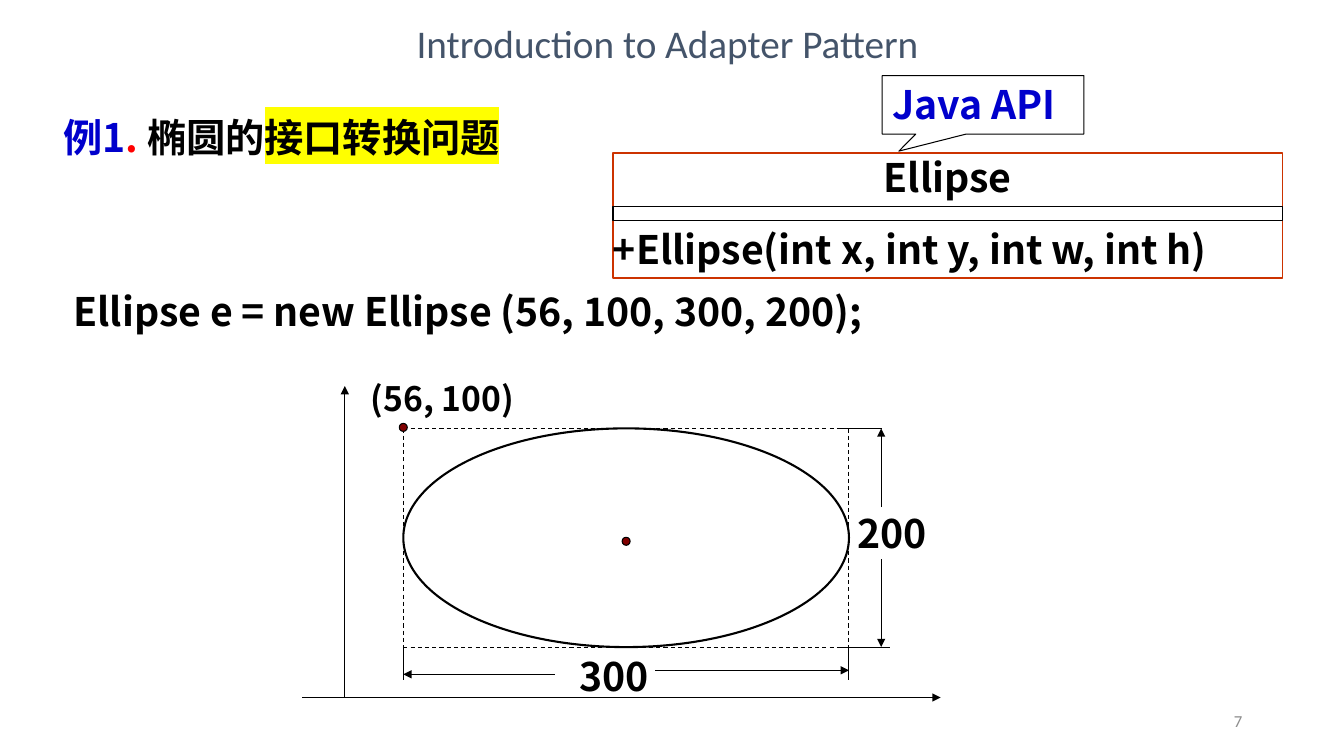
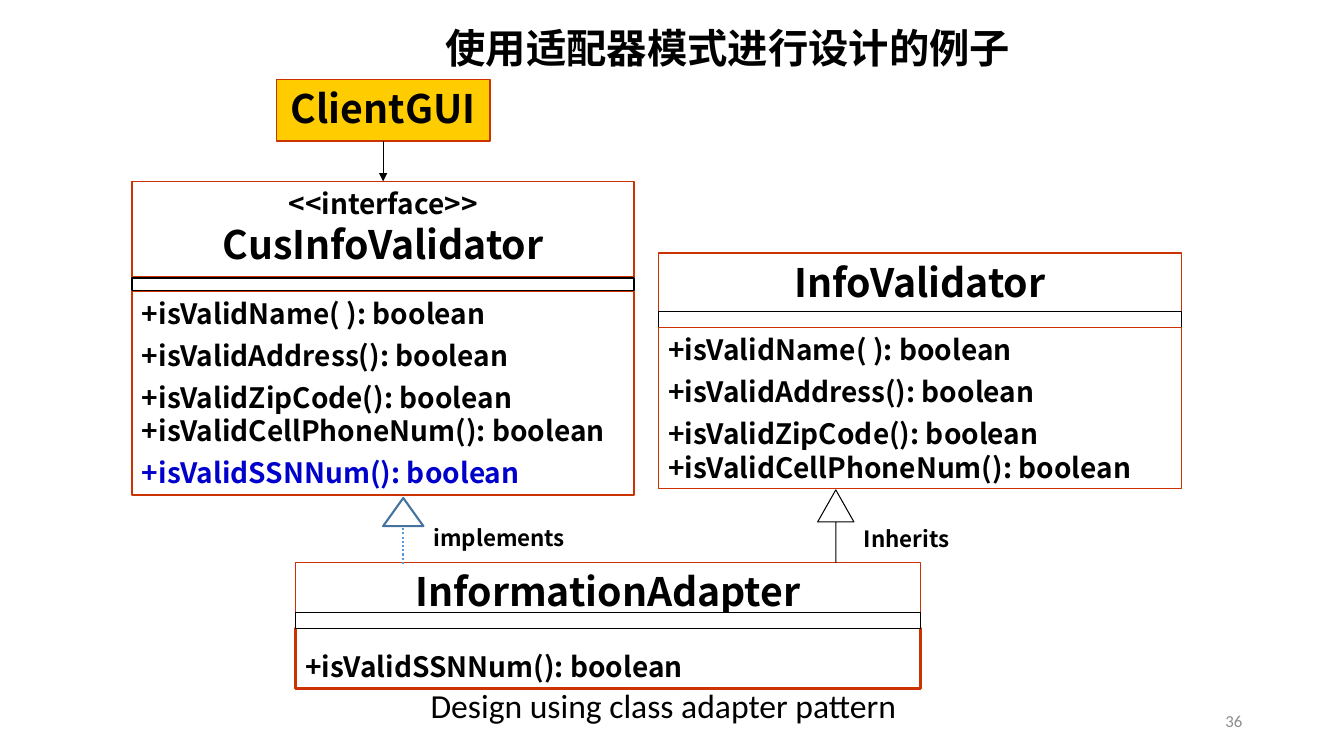
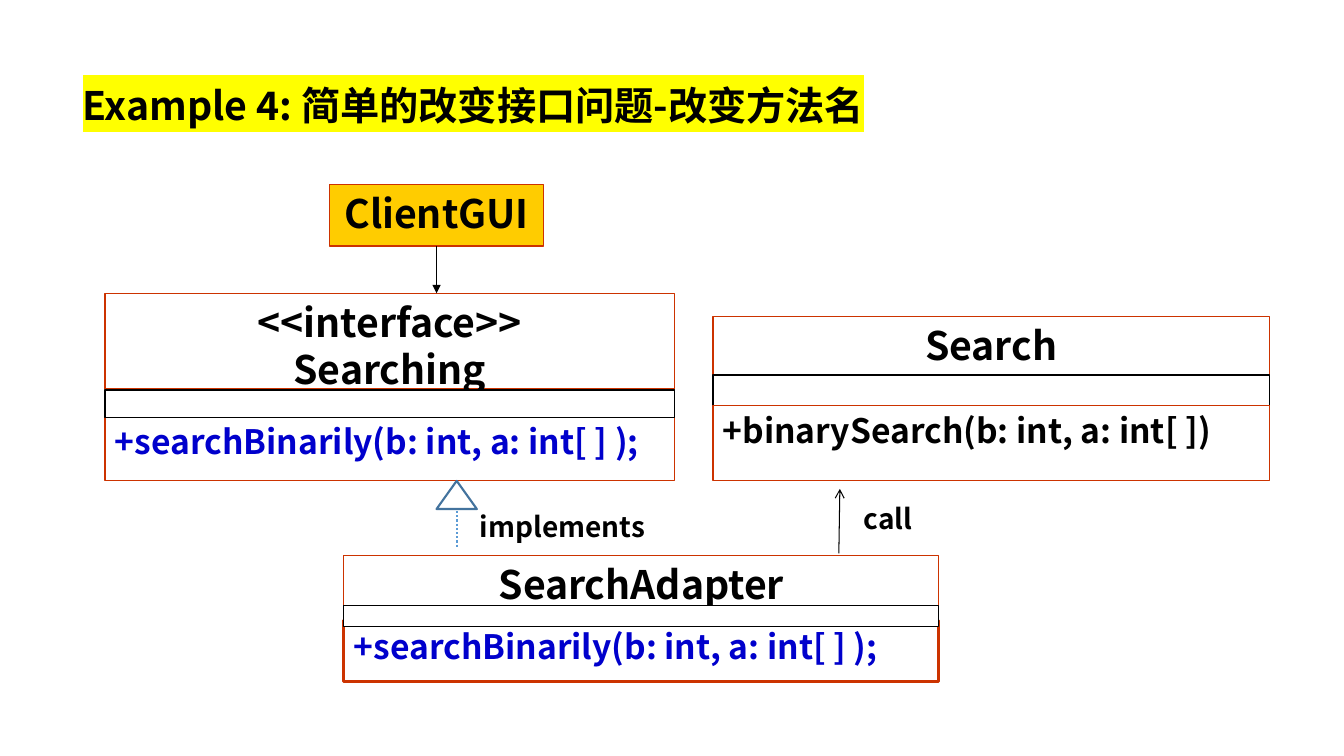
import pptx
import pptx.util
import pptx.dml.color
import pptx.enum.dml
import pptx.enum.shapes
import pptx.enum.text
import pptx.oxml
import pptx.oxml.ns

RGB = pptx.dml.color.RGBColor
BLACK = RGB(0x00, 0x00, 0x00)
WHITE = RGB(0xFF, 0xFF, 0xFF)
BLUE = RGB(0x00, 0x00, 0xCC)
RED = RGB(0xFF, 0x00, 0x00)
RUST = RGB(0xCC, 0x33, 0x00)
GOLD = RGB(0xFF, 0xCC, 0x00)
MAROON = RGB(0x80, 0x00, 0x00)
SLATE = RGB(0x44, 0x54, 0x6A)
GRAY = RGB(0x8C, 0x8C, 0x8C)
STEEL = RGB(0x43, 0x73, 0x9E)
SKY = RGB(0x5B, 0x9B, 0xD5)

NOTO = "Noto Sans CJK SC"
PLAIN = "Calibri"
PX = 9144
KIND = pptx.enum.shapes.MSO_SHAPE
DASH = pptx.enum.dml.MSO_LINE
LEFT, MID, RIGHT = (pptx.enum.text.PP_ALIGN.LEFT, pptx.enum.text.PP_ALIGN.CENTER,
                    pptx.enum.text.PP_ALIGN.RIGHT)
TOP, HALF = pptx.enum.text.MSO_ANCHOR.TOP, pptx.enum.text.MSO_ANCHOR.MIDDLE
qn = pptx.oxml.ns.qn
NS = pptx.oxml.ns.nsdecls("a")
MARK = f'<a:highlight {NS}><a:srgbClr val="FFFF00"/></a:highlight>'


def box(slide, kind, x, y, w, h, lines=(), size=28, color=BLACK, font=NOTO, bold=True,
        align=LEFT, anchor=TOP, inset=10, gap=0, lead=1, fill=None, edge=None, thick=1):
    place = [n * PX for n in (x, y, w, h)]
    if kind == "title":
        shape = slide.shapes.title
        shape.left, shape.top, shape.width, shape.height = place
    elif kind == "text":
        shape = slide.shapes.add_textbox(*place)
    else:
        shape = slide.shapes.add_shape(kind, *place)
        shape.shadow.inherit = False
        if fill is None:
            shape.fill.background()
        else:
            shape.fill.solid()
            shape.fill.fore_color.rgb = fill
        if edge is None:
            shape.line.fill.background()
        else:
            shape.line.color.rgb = edge
            shape.line.width = pptx.util.Pt(thick)
    frame = shape.text_frame
    frame.word_wrap = True
    frame.auto_size = pptx.enum.text.MSO_AUTO_SIZE.NONE
    frame.vertical_anchor = anchor
    frame.margin_left = frame.margin_right = inset * PX
    frame.margin_top = frame.margin_bottom = 5 * PX
    for i, line in enumerate(lines):
        para = frame.add_paragraph() if i else frame.paragraphs[0]
        text, pt, tint = line if isinstance(line, tuple) else (line, size, color)
        para.alignment = align
        para.line_spacing = lead
        para.space_before = pptx.util.Pt(gap)
        para.font.name = font
        para.font.size = pptx.util.Pt(pt)
        para.font.bold = bold
        para.font.color.rgb = tint
        base = para._p.pPr.find(qn("a:defRPr"))
        base.append(pptx.oxml.parse_xml(f'<a:ea {NS} typeface="{font}"/>'))
        for part, hue, mark in text if isinstance(text, list) else [(text, None, False)]:
            run = para.add_run()
            run.text = part
            if hue is not None:
                run.font.color.rgb = hue
            if mark:
                run._r.get_or_add_rPr().append(pptx.oxml.parse_xml(MARK))
    return shape


def wire(slide, x1, y1, x2, y2, head=None, color=BLACK, thick=0.75, dash=None):
    link = slide.shapes.add_connector(pptx.enum.shapes.MSO_CONNECTOR.STRAIGHT,
                                      x1 * PX, y1 * PX, x2 * PX, y2 * PX)
    link.line.color.rgb = color
    link.line.width = pptx.util.Pt(thick)
    if dash:
        link.line.dash_style = dash
    if head:
        link.line._get_or_add_ln().append(
            pptx.oxml.parse_xml(f'<a:tailEnd {NS} type="{head}"/>'))
    link._element.spPr.append(pptx.oxml.parse_xml(f"<a:effectLst {NS}/>"))
    return link


deck = pptx.Presentation()
deck.slide_width, deck.slide_height = 1333 * PX, 750 * PX
intro, design, search = [deck.slides.add_slide(deck.slide_layouts[5]) for _ in range(3)]

titles = [
    (intro, 333, 17, 658, 50, ["Introduction to Adapter Pattern"],
     dict(font=PLAIN, bold=False, color=SLATE, align=MID, anchor=HALF)),
    (design, 272, 24, 900, 53, ["使用适配器模式进行设计的例子"],
     dict(size=28.8, align=MID, anchor=HALF, lead=0.9)),
    (search, 72, 81, 992, 72, [([("Example 4: 简单的改变接口问题-改变方法名", BLACK, True)], 28, BLACK)],
     dict(lead=0.9)),
]
for slide, x, y, w, h, lines, style in titles:
    box(slide, "title", x, y, w, h, lines, **style)

for slide, page in ((intro, "7"), (design, "36")):
    box(slide, "text", 942, 695, 300, 40, [page], size=12, color=GRAY, font=PLAIN,
        bold=False, align=RIGHT, anchor=HALF)

checks = ["+isValidName( ): boolean", "+isValidAddress(): boolean",
          "+isValidZipCode(): boolean +isValidCellPhoneNum(): boolean"]
ssn = "+isValidSSNNum(): boolean"
find = "+searchBinarily(b: int, a: int[ ] );"
name = dict(align=MID, edge=RUST)
bar = dict(edge=BLACK)
thin = dict(edge=BLACK, thick=0.75)
body = dict(size=20, gap=6, edge=RUST)
call = dict(size=24, edge=RUST)

models = [
    (intro, 608, 664, None, [
        (219, 57, ["+Ellipse(int x, int y, int w, int h)"], dict(edge=RUST, inset=0)),
        (152, 53, ["Ellipse"], dict(name, lead=0.9)),
        (205, 14, [], bar)]),
    (design, 131, 498, WHITE, [
        (289, 202, checks + [(ssn, 20, BLUE)], body),
        (180, 95, [("<<interface>>", 20, BLACK), "CusInfoValidator"], name),
        (276, 12, [], bar)]),
    (design, 293, 620, WHITE, [
        (623, 60, [ssn], dict(size=20, lead=1.5, edge=RUST, thick=2)),
        (558, 51, ["InformationAdapter"], name),
        (608, 16, [], thin)]),
    (design, 653, 519, WHITE, [
        (251, 64, ["InfoValidator"], name),
        (309, 16, [], bar),
        (325, 160, checks, body)]),
    (search, 104, 565, WHITE, [
        (413, 64, [find], dict(call, color=BLUE)),
        (291, 95, ["<<interface>>", "Searching"], name),
        (387, 27, [], bar)]),
    (search, 341, 590, WHITE, [
        (616, 60, [find], dict(call, color=BLUE, thick=2)),
        (551, 51, ["SearchAdapter"], name),
        (601, 21, [], thin)]),
    (search, 707, 552, WHITE, [
        (314, 64, ["Search"], name),
        (372, 32, [], bar),
        (402, 75, ["+binarySearch(b: int, a: int[ ])"], call)]),
]
cells = {}
for slide, x, w, fill, rows in models:
    for y, h, lines, style in rows:
        cells[x, y] = box(slide, KIND.RECTANGLE, x, y, w, h, lines, fill=fill, **style)

left, top, right, low = 400, 425, 842, 642
box(intro, KIND.OVAL, left, top, right - left, low - top, edge=BLACK, thick=1.5)
for x1, y1, x2, y2 in ((left, top, left, low), (left, low, right, low),
                       (right, top, right, low), (left, top, right, top)):
    wire(intro, x1, y1, x2, y2, dash=DASH.DASH)
for x1, y1, x2, y2 in ((833, top, 875, top), (833, low, 883, low),
                       (left, low, left, 675), (right, low, right, 675)):
    wire(intro, x1, y1, x2, y2)
for x1, y1, x2, y2 in ((300, 692, 933, 692), (342, 692, 342, 383),
                       (874, 503, 874, top), (874, 555, 874, low),
                       (550, 669, left, 669), (650, 665, right, 665)):
    wire(intro, x1, y1, x2, y2, "triangle")
for x, y in ((617, 533), (396, 420)):
    box(intro, KIND.OVAL, x, y, 8, 8, fill=MAROON, edge=BLACK, thick=0.75)

box(intro, "text", 358, 370, 175, 50, ["(56, 100)"], size=24)
for x, y, text in ((850, 500, "200"), (575, 642, "300")):
    box(intro, "text", x, y, 75, 57, [text], inset=0)
lead = [("例1", BLUE, False), (". ", RED, False), ("椭圆的", BLACK, False),
        ("接口转换问题", BLACK, True)]
box(intro, "text", 53, 108, 497, 57, [(lead, 28, BLACK)])
box(intro, "text", 63, 280, 868, 57, ["Ellipse e = new Ellipse (56, 100, 300, 200);"])
note = box(intro, KIND.RECTANGULAR_CALLOUT, 875, 75, 200, 58, ["Java API"], color=BLUE,
           fill=WHITE, edge=BLACK, thick=0.75)
note.adjustments[0], note.adjustments[1] = -0.417, 0.792

for slide, x, y, end in ((design, 274, 79, 180), (search, 327, 183, 291)):
    client = box(slide, KIND.RECTANGLE, x, y, 212, 61, ["ClientGUI"], align=MID,
                 fill=GOLD, edge=RUST)
    link = wire(slide, x + 106, y + 61, x + 106, end, "triangle")
    link.begin_connect(client, 2)
    if slide is design:
        link.end_connect(cells[131, 180], 0)

for slide, x, y, w, h, text, size in ((design, 847, 516, 163, 37, "Inherits", 16),
                                      (design, 420, 515, 197, 37, "implements", 16),
                                      (search, 847, 493, 163, 44, "call", 20),
                                      (search, 466, 501, 197, 44, "implements", 20)):
    box(slide, KIND.RECTANGLE, x, y, w, h, [text], size=size, fill=WHITE)

for slide, x, y, end in ((design, 380, 494, 560), (search, 433, 477, 544)):
    box(slide, KIND.FLOWCHART_EXTRACT, x, y, 40, 28, edge=STEEL, thick=1.5)
    wire(slide, x + 20, y + 30, x + 20, end, color=SKY, thick=1.5, dash=DASH.ROUND_DOT)

arrow = box(design, KIND.UP_ARROW, 811, 486, 36, 72, fill=WHITE, edge=BLACK, thick=0.75)
arrow.adjustments[0], arrow.adjustments[1] = 0, 0.884
wire(search, 832, 549, 833, 485, "arrow")
box(design, "text", 258, 675, 800, 50, ["Design using class adapter pattern"], size=24,
    font=PLAIN, bold=False, align=MID)

deck.save("out.pptx")
